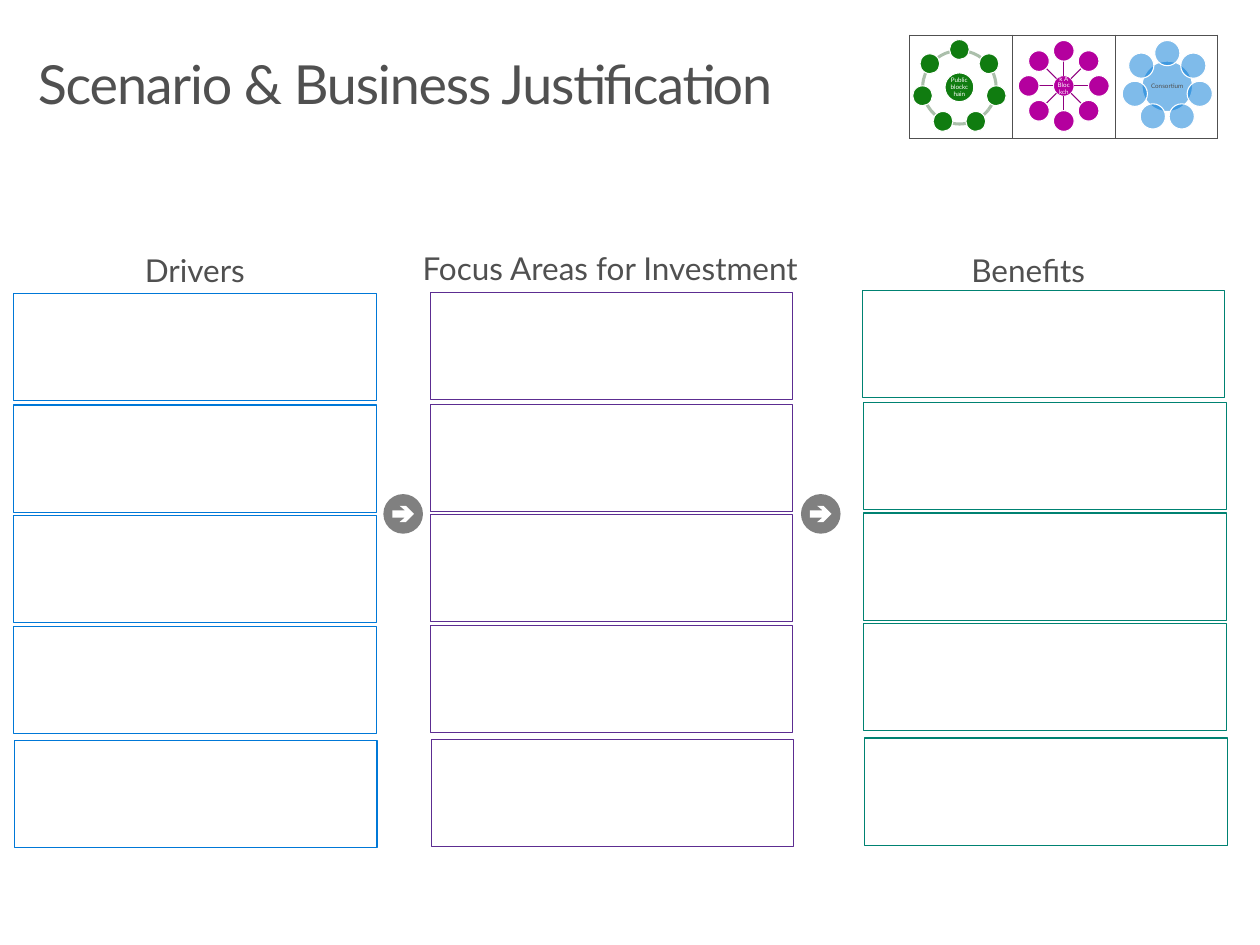
"""Build the scenario and business justification slide."""
from dataclasses import dataclass
from math import cos, pi, sin

from lxml import etree
from pptx import Presentation
from pptx.dml.color import RGBColor
from pptx.enum.shapes import MSO_CONNECTOR, MSO_SHAPE
from pptx.enum.text import MSO_ANCHOR, MSO_AUTO_SIZE, PP_ALIGN
from pptx.oxml.ns import qn
from pptx.util import Inches, Pt

RECTANGLE, OVAL, ARC = MSO_SHAPE.RECTANGLE, MSO_SHAPE.OVAL, MSO_SHAPE.BLOCK_ARC
STRAIGHT = MSO_CONNECTOR.STRAIGHT
MIDDLE, BOTTOM = MSO_ANCHOR.MIDDLE, MSO_ANCHOR.BOTTOM
LEFT, CENTER = PP_ALIGN.LEFT, PP_ALIGN.CENTER
NO_AUTOFIT = MSO_AUTO_SIZE.NONE

FONT = "Lato"
WHITE = RGBColor(0xFF, 0xFF, 0xFF)
TEXT = RGBColor(0x50, 0x50, 0x50)
GRAY = RGBColor(0x80, 0x80, 0x80)
BLUE = RGBColor(0x00, 0x78, 0xD7)
PURPLE = RGBColor(0x5C, 0x2D, 0x91)
TEAL = RGBColor(0x00, 0x82, 0x72)
MAGENTA = RGBColor(0xB4, 0x00, 0x9E)
SPOKE = RGBColor(0x90, 0x00, 0x7F)
GREEN = RGBColor(0x10, 0x7C, 0x10)
RING = RGBColor(0xAB, 0xBF, 0xAB)

LINE_WIDTH = Pt(0.85)
BOX_WIDTH, BOX_HEIGHT = 4.03, 1.19
ROW_TOPS = (3.26, 4.5, 5.73, 6.96, 8.23)
ARROW_CENTERS = (4.48, 9.12)
ARROW_Y = 5.71
ARROW_OUTLINE = ((-0.04, -0.09), (0.03, -0.09), (0.12, 0), (0.03, 0.09), (-0.04, 0.09),
                 (0.02, 0.04), (-0.12, 0.04), (-0.12, -0.04), (0.02, -0.04))


@dataclass
class Column:
    heading: str
    heading_left: float
    heading_top: float
    heading_width: float
    box_lefts: tuple
    rise: float
    color: RGBColor


@dataclass
class Network:
    label: str
    center: tuple
    radius: float
    hub_size: float
    label_size: float
    node_size: float
    nodes: int
    color: RGBColor
    label_color: RGBColor = WHITE
    opacity: int = 100
    spokes: bool = False
    ring_size: float = 0


COLUMNS = (
    Column("Drivers", 0.15, 2.67, 4.03, (0.15,) * 4 + (0.16,), 0, BLUE),
    Column("Focus Areas for Investment", 4.13, 2.65, 5.3, (4.78,) * 4 + (4.79,), 0.01, PURPLE),
    Column("Benefits", 9.41, 2.67, 4.03, (9.58, 9.6, 9.6, 9.6, 9.61), 0.03, TEAL),
)
NETWORKS = (
    Network("Consortium", (12.97, 0.96), 0.37, 0.56, 0.4, 0.28, 7, BLUE, TEXT, opacity=50),
    Network("Bank A Blockchain", (11.82, 0.955), 0.39, 0.23, 0.16, 0.23, 8, MAGENTA, spokes=True),
    Network("Public blockchain", (10.66, 0.97), 0.42, 0.32, 0.23, 0.22, 7, GREEN, ring_size=0.85),
)


def write(shape, text: str, size: float, color: RGBColor, anchor, alignment, inset: tuple) -> None:
    frame = shape.text_frame
    frame.word_wrap = True
    frame.auto_size = NO_AUTOFIT
    frame.vertical_anchor = anchor
    frame.margin_left = frame.margin_right = Inches(inset[0])
    frame.margin_top = frame.margin_bottom = Inches(inset[1])
    paragraph = frame.paragraphs[0]
    paragraph.text = text
    paragraph.alignment = alignment
    paragraph.line_spacing = 0.9 if anchor == MIDDLE else 1.0
    font = paragraph.font
    font.name, font.size, font.color.rgb = FONT, Pt(size), color


def paint(shape, fill: RGBColor, line=None, opacity: int = 100) -> None:
    shape.shadow.inherit = False
    shape.fill.solid()
    shape.fill.fore_color.rgb = fill
    if opacity < 100:
        color = shape.fill._xPr.find(qn("a:solidFill"))[0]
        etree.SubElement(color, qn("a:alpha"), val=str(opacity * 1000))
    if line is None:
        shape.line.fill.background()
    else:
        shape.line.color.rgb = line
        shape.line.width = LINE_WIDTH


def add_centered(shapes, kind, x: float, y: float, size: float):
    return shapes.add_shape(kind, Inches(x - size / 2), Inches(y - size / 2),
                            Inches(size), Inches(size))


def add_title(slide) -> None:
    title = slide.shapes.title
    title.left, title.top = Inches(0.26), Inches(0.28)
    title.width, title.height = Inches(13.38), Inches(1.38)
    write(title, "Scenario & Business Justification", 43.1, TEXT, MIDDLE, LEFT, (0.16, 0.1))
    title.text_frame.paragraphs[0].runs[0]._r.get_or_add_rPr().set("spc", "-90")


def add_frame_table(slide) -> None:
    table = slide.shapes.add_table(1, 3, Inches(10.11), Inches(0.39),
                                   Inches(3.42), Inches(1.15)).table
    table.first_row = table.horz_banding = False
    for cell in table.iter_cells():
        properties = cell._tc.get_or_add_tcPr()
        for side in ("lnL", "lnR", "lnT", "lnB"):
            border = etree.SubElement(properties, qn(f"a:{side}"), w=str(Pt(1)))
            fill = etree.SubElement(border, qn("a:solidFill"))
            etree.SubElement(fill, qn("a:srgbClr"), val=str(TEXT))
        cell.fill.background()


def add_column(slide, column: Column) -> None:
    heading = slide.shapes.add_textbox(Inches(column.heading_left), Inches(column.heading_top),
                                       Inches(column.heading_width), Inches(0.64))
    write(heading, column.heading, 25.2, TEXT, BOTTOM, CENTER, (0.1, 0.1))
    for left, top in zip(column.box_lefts, ROW_TOPS):
        box = slide.shapes.add_shape(RECTANGLE, Inches(left), Inches(top - column.rise),
                                     Inches(BOX_WIDTH), Inches(BOX_HEIGHT))
        paint(box, WHITE, column.color)


def add_arrow(slide, x: float) -> None:
    paint(add_centered(slide.shapes, OVAL, x, ARROW_Y, 0.44), GRAY)
    points = [(Inches(x + dx), Inches(ARROW_Y + dy)) for dx, dy in ARROW_OUTLINE]
    builder = slide.shapes.build_freeform(*points[0])
    builder.add_line_segments(points[1:], close=True)
    paint(builder.convert_to_shape(), WHITE)


def add_ring(shapes, network: Network) -> None:
    starts = [7.71 + 30.86 * index for index in range(network.nodes)]
    for start, end in zip(starts, starts[1:] + starts[:1]):
        arc = add_centered(shapes, ARC, *network.center, network.ring_size)
        for index, value in enumerate((start * 0.6, end * 0.6, 0.04)):
            arc.adjustments[index] = value
        paint(arc, RING)


def add_spoke(shapes, network: Network, dx: float, dy: float) -> None:
    x, y = network.center
    inner = network.hub_size / 2
    outer = network.radius - network.node_size / 2
    spoke = shapes.add_connector(STRAIGHT, Inches(x + inner * dx), Inches(y + inner * dy),
                                 Inches(x + outer * dx), Inches(y + outer * dy))
    spoke.line.color.rgb = SPOKE
    spoke.line.width = LINE_WIDTH
    etree.SubElement(spoke._element.spPr, qn("a:effectLst"))


def add_network(slide, network: Network) -> None:
    shapes = slide.shapes.add_group_shape().shapes
    x, y = network.center
    if network.ring_size:
        add_ring(shapes, network)
    hub = add_centered(shapes, OVAL, x, y, network.hub_size)
    paint(hub, network.color, WHITE, network.opacity)
    size = network.label_size
    label = shapes.add_textbox(Inches(x - size / 2), Inches(y - size / 2),
                               Inches(size), Inches(size))
    write(label, network.label, 5, network.label_color, MIDDLE, CENTER, (0.01, 0.01))
    for index in range(network.nodes):
        angle = 2 * pi * index / network.nodes
        dx, dy = sin(angle), -cos(angle)
        if network.spokes:
            add_spoke(shapes, network, dx, dy)
        node = add_centered(shapes, OVAL, x + network.radius * dx, y + network.radius * dy,
                            network.node_size)
        paint(node, network.color, WHITE, network.opacity)


def main() -> None:
    presentation = Presentation()
    presentation.slide_width, presentation.slide_height = Inches(14), Inches(10.5)
    slide = presentation.slides.add_slide(presentation.slide_layouts[5])
    add_frame_table(slide)
    add_title(slide)
    for column in COLUMNS:
        add_column(slide, column)
    for x in ARROW_CENTERS:
        add_arrow(slide, x)
    for network in NETWORKS:
        add_network(slide, network)
    presentation.save("out.pptx")


if __name__ == "__main__":
    main()
